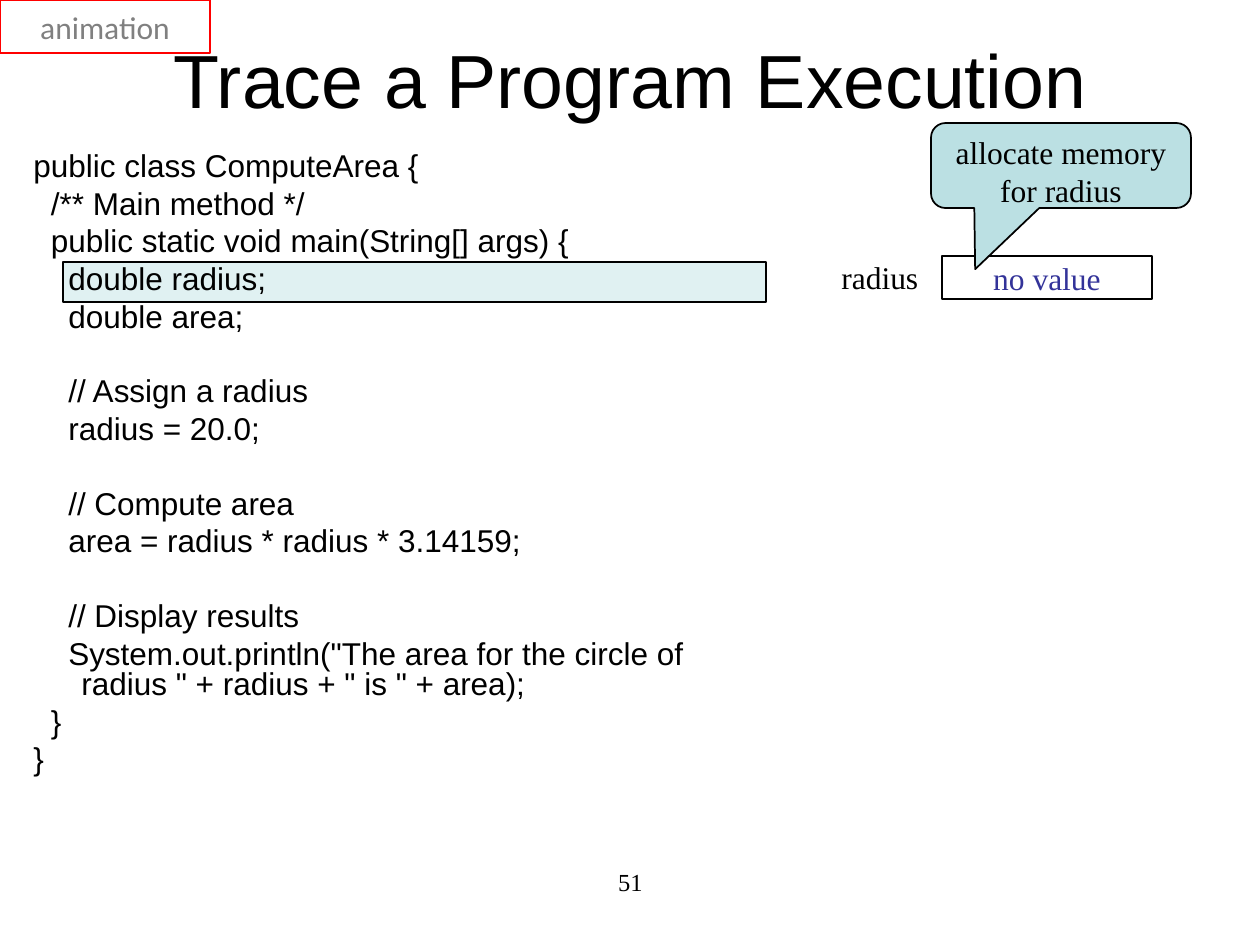
from lxml import etree
from pptx import Presentation
from pptx import util as u
from pptx.dml.color import RGBColor
from pptx.enum import shapes, text
from pptx.oxml.ns import qn

PX = u.Inches(1) / 126
HUES = {"ink": "000000", "teal": "BBE0E3", "blue": "333399",
        "red": "FF0000", "gray": "808080"}
SERIF = "Times New Roman"
CODE = '''public class ComputeArea {
  /** Main method */
  public static void main(String[] args) {
    double radius;
    double area;

    // Assign a radius
    radius = 20.0;

    // Compute area
    area = radius * radius * 3.14159;

    // Display results
    System.out.println("The area for the circle of radius " + radius + " is " + area);
  }
}'''


def px(n):
    """Turn pixels into EMU."""
    return round(n * PX)


def hue(name):
    """Look up a colour."""
    return RGBColor.from_string(HUES[name])


def apply(item, vals):
    """Set attributes from a dict."""
    for key, val in vals.items():
        setattr(item, key, val)


def write(para, words, size, face=SERIF, ink="ink", **form):
    """Fill a paragraph with styled words."""
    run = para.add_run()
    run.text = words
    apply(run.font, {"size": u.Pt(size), "name": face})
    run.font.color.rgb = hue(ink)
    apply(para, form)


def label(slide, box, words, size, face=SERIF,
          align=text.PP_ALIGN.CENTER, **frame):
    """Add a one-paragraph text box."""
    body = slide.shapes.add_textbox(*map(px, box)).text_frame
    apply(body, {"word_wrap": True, **frame})
    write(body.paragraphs[0], words, size, face, alignment=align)


def panel(slide, kind, box, edge="ink", fill=None, alpha=None):
    """Add an outlined shape with an optional fill."""
    item = slide.shapes.add_shape(kind, *map(px, box))
    item.shadow.inherit = False
    item.line.color.rgb = hue(edge)
    item.line.width = u.Pt(1)
    if fill:
        item.fill.solid()
        item.fill.fore_color.rgb = hue(fill)
    else:
        item.fill.background()
    if alpha:
        tint = item.fill._xPr.find(".//" + qn("a:srgbClr"))
        etree.SubElement(tint, qn("a:alpha")).set("val", str(alpha * 1000))
    return item


def caption(item, words, face=SERIF, ink="ink", **frame):
    """Write centred text in a shape."""
    body = item.text_frame
    apply(body, frame)
    write(body.paragraphs[0], words, 18, face, ink,
          alignment=text.PP_ALIGN.CENTER)


def listing(slide, box, code):
    """Add program lines, with spacing for each empty line."""
    body = slide.shapes.add_textbox(*map(px, box)).text_frame
    body.word_wrap = True
    para, gap = body.paragraphs[0], 0
    for line in code.split("\n"):
        if not line:
            gap += 20.9
            continue
        if para is None:
            para = body.add_paragraph()
        props = para._p.get_or_add_pPr()
        props.set("marL", str(px(48)))
        props.set("indent", str(px(-48)))
        write(para, line, 18, "Arial", line_spacing=0.8,
              space_before=u.Pt(gap))
        para, gap = None, 4.3


def main():
    """Build the slide."""
    deck = Presentation()
    apply(deck, {"slide_width": px(1260), "slide_height": px(945)})
    slide = deck.slides.add_slide(deck.slide_layouts[6])
    kind, mid = shapes.MSO_SHAPE, text.MSO_ANCHOR.MIDDLE

    panel(slide, kind.RECTANGLE, (63, 262, 703, 40), fill="teal", alpha=45)
    label(slide, (431, 861, 399, 65), "51", 14)
    label(slide, (95, 42, 1070, 73), "Trace a Program Execution", 43,
          "Arial", vertical_anchor=mid)
    listing(slide, (21, 147, 766, 714), CODE)

    cell = panel(slide, kind.RECTANGLE, (942, 256, 210, 43))
    sides = ("left", "top", "right", "bottom")
    caption(cell, "no value", ink="blue", vertical_anchor=mid,
            word_wrap=False, **{f"margin_{side}": px(1) for side in sides})
    label(slide, (829, 252, 116, 50), "radius", 18,
          align=text.PP_ALIGN.LEFT)

    note = panel(slide, kind.ROUNDED_RECTANGULAR_CALLOUT,
                 (931, 123, 260, 85), fill="teal")
    for i, val in enumerate((-0.33, 1.22, 0.17)):
        note.adjustments[i] = val
    caption(note, "allocate memory for radius", word_wrap=True,
            vertical_anchor=text.MSO_ANCHOR.TOP)

    tag = panel(slide, kind.RECTANGLE, (0, 0, 210, 53), edge="red")
    caption(tag, "animation", "Calibri", "gray", vertical_anchor=mid,
            word_wrap=False)
    deck.save("out.pptx")


if __name__ == "__main__":
    main()
